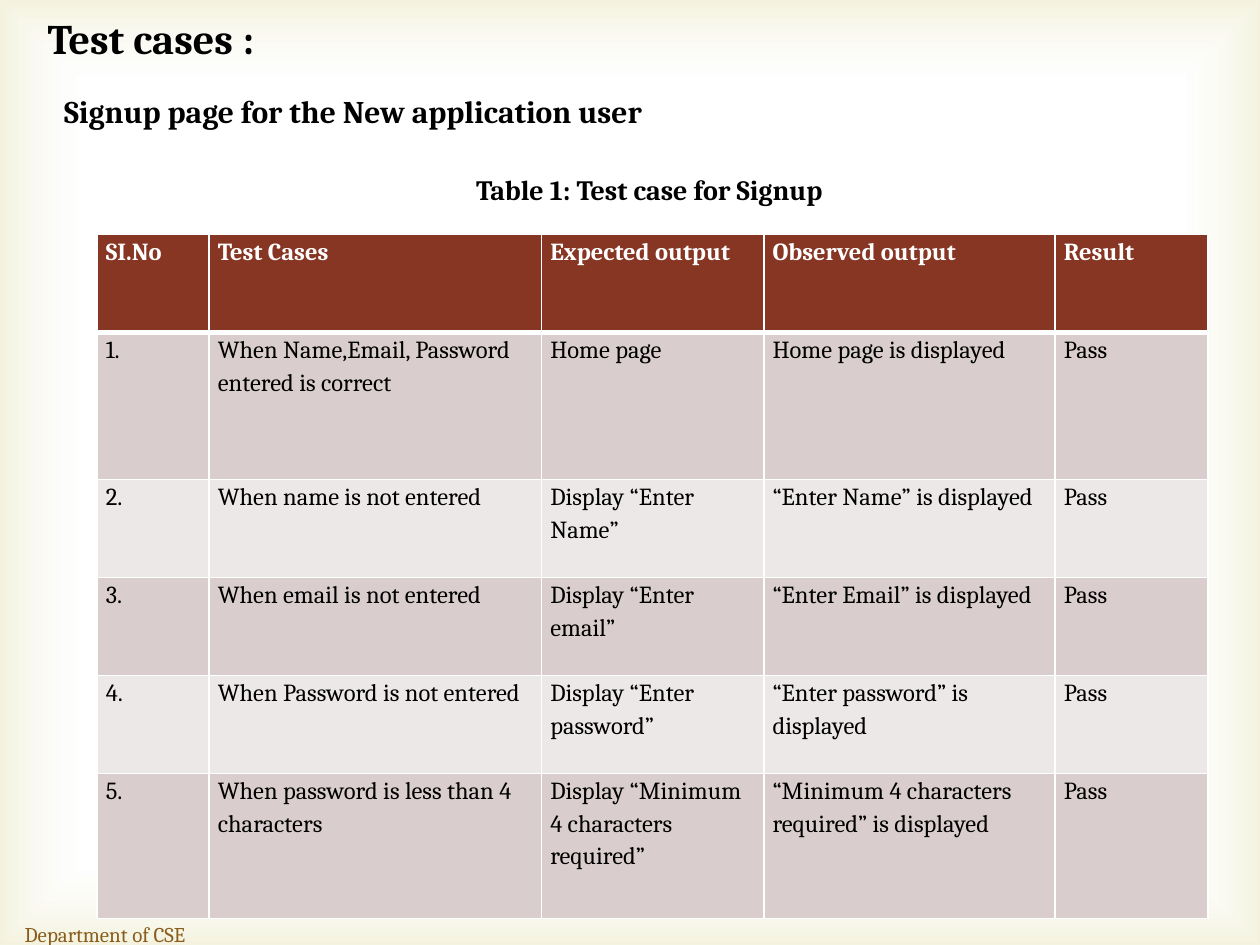
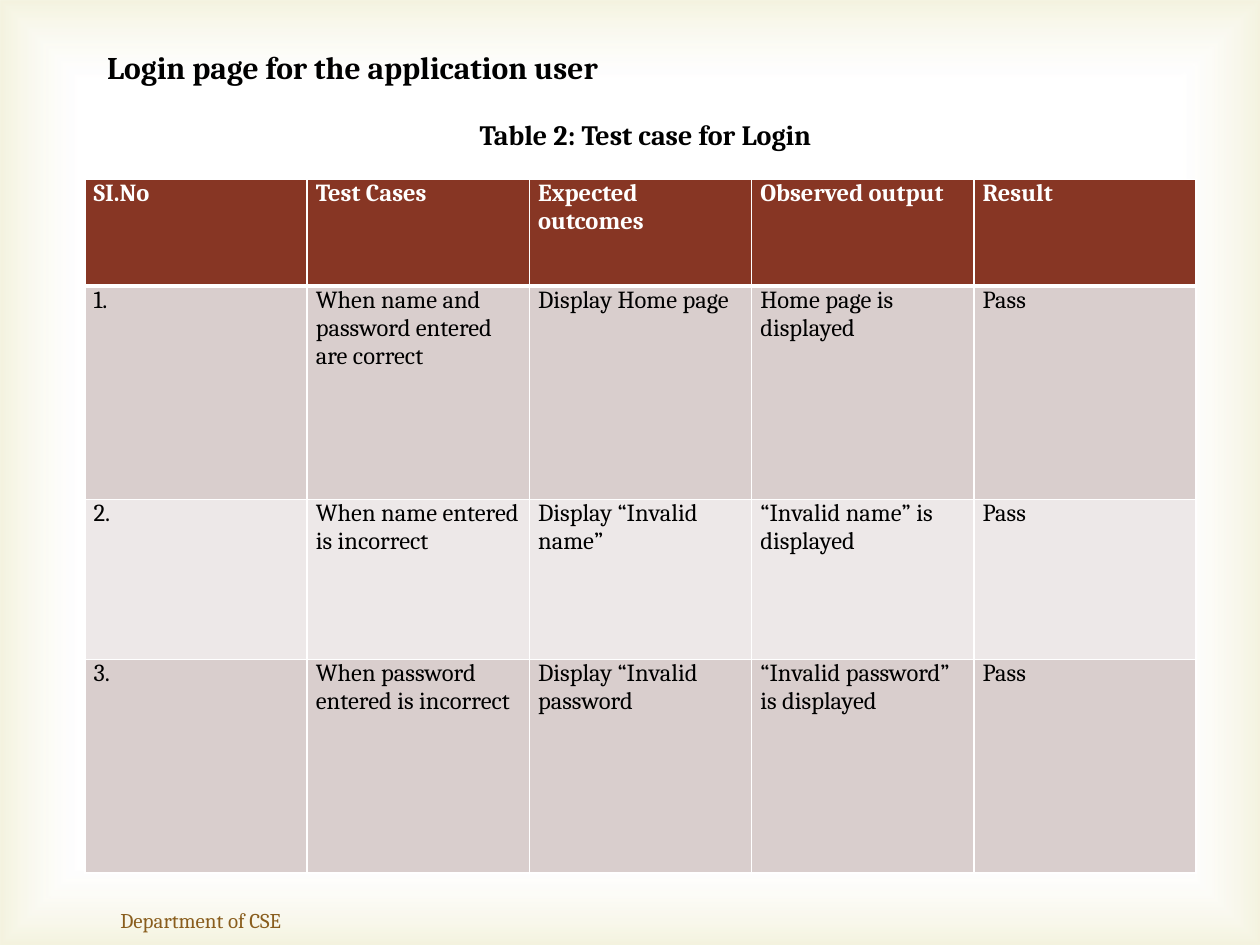
"""Build two slides of test case tables for the signup and login pages."""
from dataclasses import dataclass

from lxml.etree import SubElement
from pptx import Presentation
from pptx.dml.color import RGBColor
from pptx.enum.shapes import MSO_SHAPE
from pptx.enum.text import MSO_ANCHOR, MSO_AUTO_SIZE, PP_ALIGN
from pptx.oxml.ns import qn
from pptx.presentation import Presentation as Deck
from pptx.shapes.base import BaseShape
from pptx.slide import Slide
from pptx.table import _Cell as Cell
from pptx.text.text import _Paragraph as Paragraph
from pptx.util import Pt

COLORS = {
    "white": "FFFFFF",
    "black": "000000",
    "glow": "D1CA75",
    "header": "873624",
    "odd": "D9CECD",
    "even": "EDE8E8",
    "footer": "895D1D",
}
FONT = "Cambria"
WIDTH, HEIGHT = 720, 540
TABLE_WIDTH = 635
GLOW_STOPS = ((83, "white", 11), (100, "glow", 23))
FRAME_FORMAT = {
    "word_wrap": False,
    "auto_size": MSO_AUTO_SIZE.SHAPE_TO_FIT_TEXT,
    "vertical_anchor": MSO_ANCHOR.TOP,
}
FOOTER_FORMAT = {
    "word_wrap": True,
    "auto_size": MSO_AUTO_SIZE.NONE,
    "vertical_anchor": MSO_ANCHOR.MIDDLE,
}
CELL_MARGINS = {
    "margin_left": Pt(5),
    "margin_right": Pt(5),
    "margin_top": 0,
    "margin_bottom": 0,
}


@dataclass(frozen=True)
class Heading:
    text: str
    left: float
    top: float
    width: float
    height: float
    size: float


@dataclass(frozen=True)
class TestTable:
    left: float
    top: float
    columns: list[float]
    rows: list[float]
    line_spacing: float
    cells: list[tuple[str, ...]]


@dataclass(frozen=True)
class TestPage:
    title: Heading
    headings: list[Heading]
    table: TestTable
    footer_left: float
    footer_top: float


PAGES = [
    TestPage(
        title=Heading("Test cases :", 20, 3.6, 136, 36, 24),
        headings=[
            Heading("Table 1: Test case for Signup", 265, 95, 230.4, 26.6, 16),
            Heading("Signup page for the New application user", 29.5, 49, 360.7, 29, 18),
        ],
        table=TestTable(
            55.5, 134, [64, 190, 127, 166.5, 87.5], [56, 84, 56, 56, 56, 83], 1.15,
            [
                ("SI.No", "Test Cases", "Expected output", "Observed output", "Result"),
                ("1.", "When Name,Email, Password entered is correct",
                 "Home page", "Home page is displayed", "Pass"),
                ("2.", "When name is not entered",
                 "Display “Enter Name”", "“Enter Name” is displayed", "Pass"),
                ("3.", "When email is not entered",
                 "Display “Enter email”", "“Enter Email” is displayed", "Pass"),
                ("4.", "When Password is not entered",
                 "Display “Enter password”", "“Enter password” is displayed", "Pass"),
                ("5.", "When password is less than 4 characters",
                 "Display “Minimum 4 characters required”",
                 "“Minimum 4 characters required” is displayed", "Pass"),
            ],
        ),
        footer_left=-54,
        footer_top=519,
    ),
    TestPage(
        title=Heading("Login page for the application user", 54, 23.8, 309.6, 29, 18),
        headings=[Heading("Table 2: Test case for Login", 267, 63.4, 215.3, 26.6, 16)],
        table=TestTable(
            48.5, 102.5, [TABLE_WIDTH / 5] * 5, [30.5 * part for part in (2, 4, 3, 4)], 1,
            [
                ("SI.No", "Test Cases", "Expected outcomes", "Observed output", "Result"),
                ("1.", "When name and password entered are correct",
                 "Display Home page", "Home page is displayed", "Pass"),
                ("2.", "When name entered is incorrect",
                 "Display “Invalid name”", "“Invalid name” is displayed", "Pass"),
                ("3.", "When password entered is incorrect",
                 "Display “Invalid password", "“Invalid password” is displayed", "Pass"),
            ],
        ),
        footer_left=0.7,
        footer_top=511,
    ),
]


def set_attributes(target: object, values: dict) -> None:
    for name, value in values.items():
        setattr(target, name, value)


def write(paragraph: Paragraph, text: str, size: float, color: str, bold: bool) -> None:
    run = paragraph.add_run()
    run.text = text
    set_attributes(run.font, {"name": FONT, "size": Pt(size), "bold": bold})
    run.font.color.rgb = RGBColor.from_string(COLORS[color])


def add_glow(presentation: Deck, slide: Slide) -> None:
    shape = slide.shapes.add_shape(MSO_SHAPE.RECTANGLE, 0, 0, Pt(WIDTH), Pt(HEIGHT))
    shape.shadow.inherit = False
    shape.line.fill.background()
    shape.fill.background()
    properties = shape.element.spPr
    gradient = properties.makeelement(qn("a:gradFill"), {"rotWithShape": "1"})
    properties.replace(properties.find(qn("a:noFill")), gradient)
    stops = SubElement(gradient, qn("a:gsLst"))
    for position, color, opacity in GLOW_STOPS:
        stop = SubElement(stops, qn("a:gs"), pos=str(position * 1000))
        tint = SubElement(stop, qn("a:srgbClr"), val=COLORS[color])
        SubElement(tint, qn("a:alpha"), val=str(opacity * 1000))
    path_element = SubElement(gradient, qn("a:path"), {"path": "rect"})
    SubElement(path_element, qn("a:fillToRect"), dict.fromkeys("ltrb", "50000"))
    presentation.slide_master.shapes.element.insert(2, shape.element)


def format_heading(shape: BaseShape, heading: Heading) -> None:
    for name in ("left", "top", "width", "height"):
        setattr(shape, name, Pt(getattr(heading, name)))
    set_attributes(shape.text_frame, FRAME_FORMAT)
    paragraph = shape.text_frame.paragraphs[0]
    paragraph.alignment = PP_ALIGN.LEFT
    write(paragraph, heading.text, heading.size, "black", True)


def add_borders(cell: Cell, bottom_width: float) -> None:
    properties = cell._tc.get_or_add_tcPr()
    for side, width in (("L", 1), ("R", 1), ("T", 1), ("B", bottom_width)):
        line = SubElement(properties, qn(f"a:ln{side}"), w=str(Pt(width)))
        fill = SubElement(line, qn("a:solidFill"))
        SubElement(fill, qn("a:srgbClr"), val=COLORS["white"])


def add_test_table(slide: Slide, data: TestTable) -> None:
    table = slide.shapes.add_table(
        len(data.rows), len(data.columns), Pt(data.left), Pt(data.top),
        Pt(TABLE_WIDTH), Pt(sum(data.rows)),
    ).table
    for column, width in zip(table.columns, data.columns):
        column.width = Pt(width)
    for row_index, (row, height) in enumerate(zip(table.rows, data.rows)):
        row.height = Pt(height)
        is_header = row_index == 0
        band = "header" if is_header else ("even", "odd")[row_index % 2]
        for cell, text in zip(row.cells, data.cells[row_index]):
            set_attributes(cell, CELL_MARGINS)
            add_borders(cell, 3 if row_index < 1 else 1)
            cell.fill.solid()
            cell.fill.fore_color.rgb = RGBColor.from_string(COLORS[band])
            paragraph = cell.text_frame.paragraphs[0]
            paragraph.line_spacing = data.line_spacing
            write(paragraph, text, 14, "white" if is_header else "black", is_header)


def add_footer(slide: Slide, left: float, top: float) -> None:
    footer = slide.shapes.add_textbox(Pt(left), Pt(top), Pt(228), Pt(29))
    set_attributes(footer.text_frame, FOOTER_FORMAT)
    paragraph = footer.text_frame.paragraphs[0]
    paragraph.alignment = PP_ALIGN.CENTER
    write(paragraph, "Department of CSE", 12, "footer", False)


def add_page(slide: Slide, page: TestPage) -> None:
    format_heading(slide.shapes.title, page.title)
    add_test_table(slide, page.table)
    for heading in page.headings:
        format_heading(slide.shapes.add_textbox(0, 0, 0, 0), heading)
    add_footer(slide, page.footer_left, page.footer_top)


def main() -> None:
    presentation = Presentation()
    presentation.slide_width, presentation.slide_height = Pt(WIDTH), Pt(HEIGHT)
    title_only = presentation.slide_layouts[5]
    slides = [presentation.slides.add_slide(title_only) for _ in PAGES]
    add_glow(presentation, slides[0])
    for slide, page in zip(slides, PAGES):
        add_page(slide, page)
    presentation.save("out.pptx")


if __name__ == "__main__":
    main()
